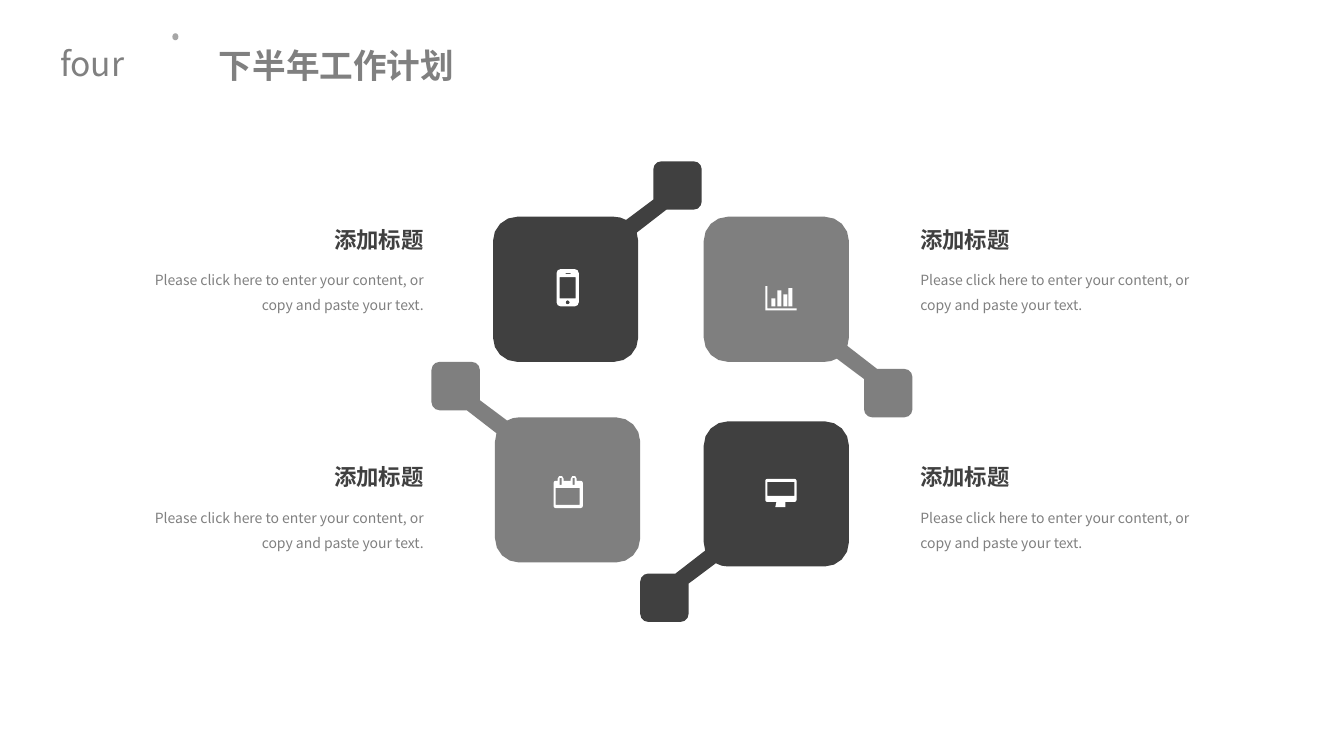
import math
from dataclasses import dataclass

import lxml.etree
import pptx
import pptx.dml.color
import pptx.enum.shapes
import pptx.enum.text
import pptx.oxml.ns
import pptx.util

Inches = pptx.util.Inches
Align = pptx.enum.text.PP_ALIGN
Point = tuple[float, float]
Contour = list[Point]


@dataclass(frozen=True)
class Theme:
    font: str = "Noto Sans CJK SC"
    dark: str = "404040"
    middle: str = "7F7F7F"
    text: str = "808080"
    dot: str = "A6A6A6"
    white: str = "FFFFFF"
    title_size: int = 24
    heading_size: int = 16
    body_size: int = 10


@dataclass(frozen=True)
class Tile:
    left: float
    top: float
    color: str
    flip_x: bool
    flip_y: bool


@dataclass(frozen=True)
class TextColumn:
    edge: float
    alignment: Align


THEME = Theme()
TILE_WIDTH, TILE_HEIGHT = 2.07, 1.99
TILES = [
    Tile(4.89, 1.6, THEME.dark, False, False),
    Tile(6.98, 2.15, THEME.middle, False, True),
    Tile(6.35, 4.18, THEME.dark, True, True),
    Tile(4.28, 3.59, THEME.middle, True, False),
]
COLUMNS = [TextColumn(9.03, Align.LEFT), TextColumn(4.3, Align.RIGHT)]
ROW_TOPS = [2.22, 4.58]
HEADING = "添加标题"
BODY = "Please click here to enter your content, or copy and paste your text."


# Outline geometry, in inches
def arc(x: float, y: float, radius: float, start: int, end: int) -> Contour:
    """Points on an arc around (x, y), clockwise from start to end degrees."""
    largest_step = 23 if radius > 0.2 else 30 if radius > 0.05 else 60
    steps = math.ceil((end - start) / largest_step)
    angles = [math.radians(start + (end - start) * step / steps) for step in range(steps + 1)]
    return [(x + radius * math.cos(a), y + radius * math.sin(a)) for a in angles]


def box(left: float, top: float, width: float, height: float, radius: float = 0) -> Contour:
    right, bottom = left + width, top + height
    if not radius:
        return [(left, top), (right, top), (right, bottom), (left, bottom)]
    return [
        *arc(left + radius, top + radius, radius, 180, 270),
        *arc(right - radius, top + radius, radius, 270, 360),
        *arc(right - radius, bottom - radius, radius, 0, 90),
        *arc(left + radius, bottom - radius, radius, 90, 180),
    ]


def tile_outline(tile: Tile) -> Contour:
    """A large rounded square joined by a bar to a small one, mirrored as needed."""
    base = [
        *arc(1.67, 0.08, 0.08, 180, 270), *arc(1.99, 0.08, 0.08, 270, 360),
        *arc(1.99, 0.4, 0.08, 0, 90), (1.72, 0.48),
        *arc(1.2, 0.79, 0.24, -20, 0), *arc(1.2, 1.75, 0.24, 0, 90),
        *arc(0.24, 1.75, 0.24, 90, 180), *arc(0.24, 0.79, 0.24, 180, 270),
        *arc(1.2, 0.79, 0.24, 270, 300), (1.59, 0.38),
    ]
    return [(tile.left + (TILE_WIDTH - x if tile.flip_x else x),
             tile.top + (TILE_HEIGHT - y if tile.flip_y else y)) for x, y in base]


def phone_icon() -> list[Contour]:
    return [box(5.52, 2.67, 0.22, 0.37, 0.04), box(5.55, 2.75, 0.16, 0.21),
            box(5.61, 2.71, 0.05, 0.01), box(5.61, 2.98, 0.04, 0.04, 0.02)]


def chart_icon() -> list[Contour]:
    axes = [(7.59, 2.84), (7.61, 2.84), (7.61, 3.06), (7.9, 3.06), (7.9, 3.08), (7.59, 3.08)]
    bars = [(7.65, 2.96), (7.71, 2.88), (7.77, 2.92), (7.82, 2.86)]
    return [axes] + [box(left, top, 0.04, 3.04 - top) for left, top in bars]


def calendar_icon() -> list[Contour]:
    ring_lefts = [5.53, 5.66]
    outline = arc(5.51, 4.79, 0.02, 180, 270)
    for left in ring_lefts:
        outline += [(left, 4.77), *arc(left + 0.03, 4.75, 0.03, 180, 360), (left + 0.06, 4.77)]
    outline += arc(5.76, 4.79, 0.02, 270, 360)
    outline += arc(5.76, 5.02, 0.02, 0, 90) + arc(5.51, 5.02, 0.02, 90, 180)
    slots = [box(left + 0.02, 4.74, 0.02, 0.07) for left in ring_lefts]
    return [outline, box(5.51, 4.84, 0.24, 0.17)] + slots


def monitor_icon() -> list[Contour]:
    outline = [
        *arc(7.61, 4.77, 0.02, 180, 270), *arc(7.88, 4.77, 0.02, 270, 360),
        *arc(7.88, 4.96, 0.02, 0, 90), (7.79, 4.98), (7.79, 5.03),
        (7.69, 5.03), (7.7, 4.98), *arc(7.61, 4.96, 0.02, 90, 180),
    ]
    return [outline, box(7.61, 4.78, 0.27, 0.14)]


# Drawing
def paint(shape, color: str) -> None:
    shape.shadow.inherit = False
    shape.fill.solid()
    shape.fill.fore_color.rgb = pptx.dml.color.RGBColor.from_string(color)
    shape.line.fill.background()


def draw_outline(slide, contours: list[Contour], color: str) -> None:
    paths = [[(Inches(x), Inches(y)) for x, y in contour] for contour in contours]
    builder = slide.shapes.build_freeform(*paths[0][0])
    builder.add_line_segments(paths[0][1:], close=True)
    for first, *rest in paths[1:]:
        builder.move_to(*first)
        builder.add_line_segments(rest, close=True)
    paint(builder.convert_to_shape(), color)


def write(shape, text: str, size: int, color: str, alignment: Align,
          spacing=None, bold: bool = False, wrap: bool = False) -> None:
    frame = shape.text_frame
    frame.text = text
    frame.word_wrap = wrap
    frame.auto_size = pptx.enum.text.MSO_AUTO_SIZE.NONE
    paragraph = frame.paragraphs[0]
    paragraph.alignment = alignment
    paragraph.line_spacing = spacing
    font = paragraph.font
    font.size = pptx.util.Pt(size)
    font.bold = bold
    font.color.rgb = pptx.dml.color.RGBColor.from_string(color)
    font.name = THEME.font
    # East Asian typeface
    properties = paragraph._p.get_or_add_pPr().get_or_add_defRPr()
    east_asian = lxml.etree.SubElement(properties, pptx.oxml.ns.qn("a:ea"))
    east_asian.set("typeface", THEME.font)


def add_text_box(slide, left: float, top: float, width: float, height: float):
    return slide.shapes.add_textbox(Inches(left), Inches(top), Inches(width), Inches(height))


def draw_header(slide) -> None:
    title = slide.shapes.title
    title.left, title.top = Inches(1.9), Inches(0.33)
    title.width, title.height = Inches(4.83), Inches(0.68)
    write(title, "下半年工作计划", THEME.title_size, THEME.text, Align.JUSTIFY, 0.9, True, True)
    frame = title.text_frame
    frame.vertical_anchor = pptx.enum.text.MSO_ANCHOR.MIDDLE
    frame.margin_left, frame.margin_right = Inches(0.27), Inches(0.3)
    frame.margin_top = frame.margin_bottom = Inches(0.17)
    write(add_text_box(slide, 0.48, 0.38, 0.87, 0.5), "four",
          THEME.title_size, THEME.text, Align.CENTER)
    dot = slide.shapes.add_shape(pptx.enum.shapes.MSO_SHAPE.OVAL, Inches(1.71), Inches(0.33),
                                 Inches(0.06), Inches(0.07))
    paint(dot, THEME.dot)


def draw_caption(slide, column: TextColumn, top: float) -> None:
    parts = [
        (HEADING, top, 1.1, 0.34, THEME.heading_size, THEME.dark, 0.9, True),
        (BODY, top + 0.34, 2.91, 0.58, THEME.body_size, THEME.text, pptx.util.Pt(18), False),
    ]
    for text, part_top, width, height, size, color, spacing, heading in parts:
        left = column.edge - (width if column.alignment == Align.RIGHT else 0)
        shape = add_text_box(slide, left, part_top, width, height)
        write(shape, text, size, color, column.alignment, spacing, heading, not heading)


def main() -> None:
    presentation = pptx.Presentation()
    presentation.slide_width, presentation.slide_height = Inches(13.33), Inches(7.5)
    slide = presentation.slides.add_slide(presentation.slide_layouts.get_by_name("Title Only"))
    draw_header(slide)
    for tile in TILES:
        draw_outline(slide, [tile_outline(tile)], tile.color)
    for icon in (calendar_icon(), monitor_icon(), chart_icon(), phone_icon()):
        draw_outline(slide, icon, THEME.white)
    for column in COLUMNS:
        for top in ROW_TOPS:
            draw_caption(slide, column, top)
    presentation.save("out.pptx")


if __name__ == "__main__":
    main()
